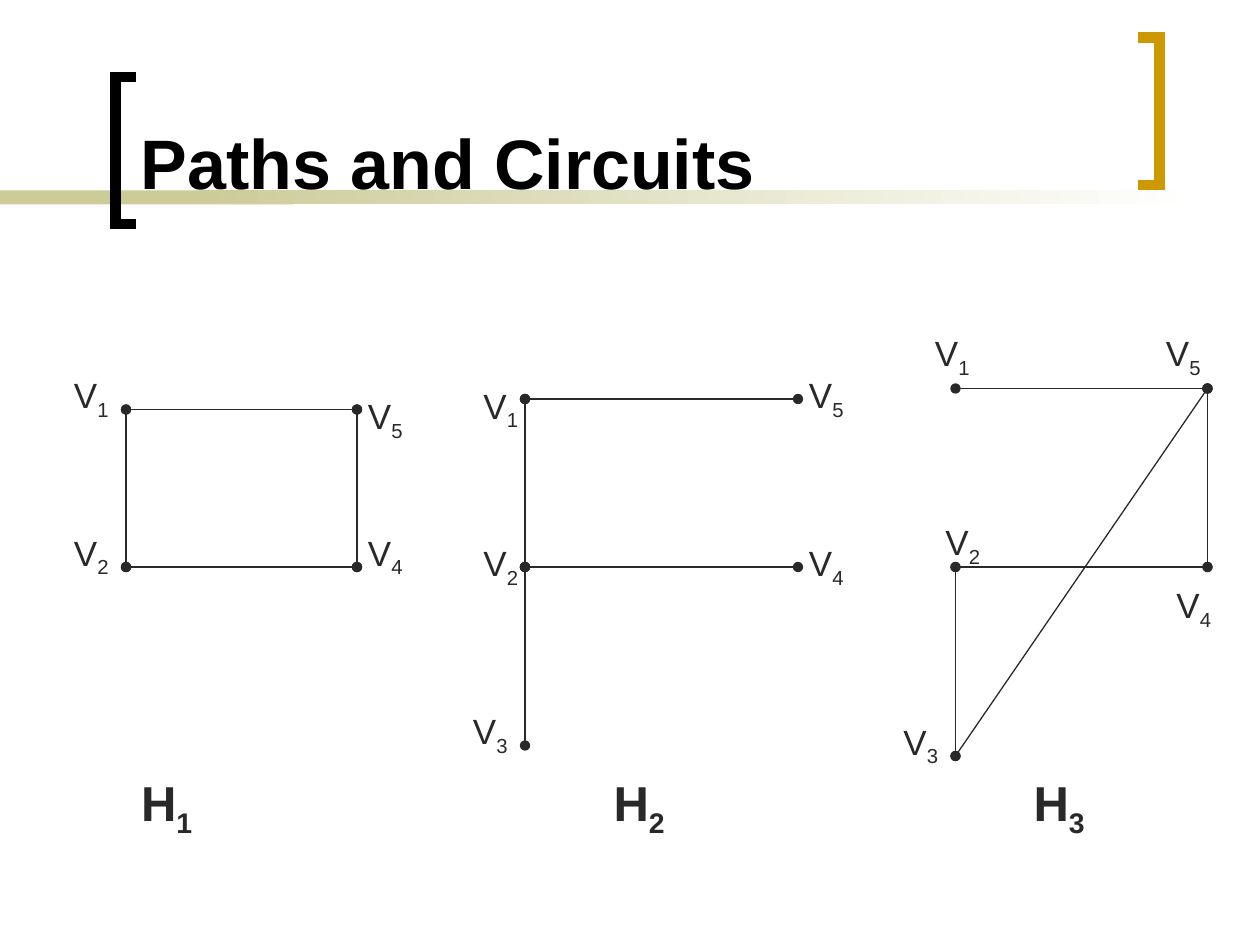
"""Build the Paths and Circuits slide with the graphs H1, H2 and H3."""
from lxml import etree
from pptx import Presentation
from pptx import util as u
from pptx.dml import color
from pptx.enum import shapes, text
from pptx.oxml import ns

BLACK = color.RGBColor(0x00, 0x00, 0x00)
WHITE = color.RGBColor(0xFF, 0xFF, 0xFF)
INK = color.RGBColor(0x29, 0x29, 0x29)
SAND = color.RGBColor(0xCC, 0xCC, 0x99)
GOLD = color.RGBColor(0xCC, 0x99, 0x00)

TITLE = {"name": "Arial", "size": u.Pt(40), "bold": True}
VERTEX = {"name": "Arial", "size": u.Pt(20), "bold": False}
GRAPH = {"name": "Arial", "size": u.Pt(28), "bold": True}

UNIT = 2.54 / 12


def grid(*values):
    return [u.Cm(v * UNIT) for v in values]


def add_text(box, parts, fmt, rgb):
    tf = s.shapes.add_textbox(*box).text_frame
    tf.word_wrap = True
    p = tf.paragraphs[0]
    for part in parts:
        r = p.add_run()
        r.text = part
        r.font.color.rgb = rgb
        for key, value in fmt.items():
            setattr(r.font, key, value)
    return tf


prs = Presentation()
prs.slide_width, prs.slide_height = u.Cm(25.4), u.Cm(19.05)
s = prs.slides.add_slide(prs.slide_layouts[6])

for left, width in ((0, 5.92), (4.01, 20.12)):
    sp = s.shapes.add_shape(shapes.MSO_SHAPE.RECTANGLE, u.Cm(left), u.Cm(3.84), u.Cm(width), u.Cm(0.28))
    sp.shadow.inherit = False
    sp.line.fill.background()
    if left == 0:
        sp.fill.solid()
        sp.fill.fore_color.rgb = SAND
    else:
        sp.fill.gradient()
        sp.fill.gradient_angle = 0
        for stop, rgb in zip(sp.fill.gradient_stops, (SAND, WHITE)):
            stop.color.rgb = rgb

for tip, spine, top, rgb in ((2.75, 2.33, 1.55, BLACK), (22.95, 23.37, 0.76, GOLD)):
    bottom = top + 2.97
    fb = s.shapes.build_freeform(u.Cm(tip), u.Cm(top))
    fb.add_line_segments([(u.Cm(x), u.Cm(y)) for x, y in ((spine, top), (spine, bottom), (tip, bottom))], close=False)
    sp = fb.convert_to_shape()
    sp.shadow.inherit = False
    sp.fill.background()
    sp.line.color.rgb = rgb
    sp.line.width = u.Pt(6)
    etree.SubElement(sp.line._get_or_add_ln(), ns.qn("a:miter"), lim="800000")

tf = add_text((u.Cm(2.59), u.Cm(0.28), u.Cm(19.89), u.Cm(3.94)), ["Paths and Circuits"], TITLE, BLACK)
tf.vertical_anchor = text.MSO_ANCHOR.BOTTOM

graphs = [
    {
        "name": "1", "name_left": 6.4,
        "points": {"1": (12, 39), "2": (12, 54), "4": (34, 54), "5": (34, 39)},
        "edges": ("15", "12", "24", "45"),
        "labels": {"1": (0, 35), "2": (0, 50), "5": (28, 37), "4": (28, 50)},
    },
    {
        "name": "2", "name_left": 51.4,
        "points": {"1": (50, 38), "2": (50, 54), "3": (50, 71), "4": (76, 54), "5": (76, 38)},
        "edges": ("15", "12", "24", "23"),
        "labels": {"1": (39, 36), "2": (39, 51), "3": (38, 67), "5": (70, 35), "4": (70, 51)},
    },
    {
        "name": "3", "name_left": 91.4,
        "points": {"1": (91, 37), "2": (91, 54), "3": (91, 72), "4": (115, 54), "5": (115, 37)},
        "edges": ("15", "54", "42", "53", "23"),
        "labels": {"1": (82, 31), "2": (83, 49), "3": (79, 68), "4": (105, 55), "5": (104, 31)},
    },
]

for graph in graphs:
    for start, end in graph["edges"]:
        ends = grid(*graph["points"][start], *graph["points"][end])
        sp = s.shapes.add_connector(shapes.MSO_CONNECTOR.STRAIGHT, *ends)
        sp.line.color.rgb = INK
        sp.line.width = u.Pt(0.75)
        for tag in ("a:headEnd", "a:tailEnd"):
            etree.SubElement(sp.line._get_or_add_ln(), ns.qn(tag), type="oval")
        etree.SubElement(sp._element.spPr, ns.qn("a:effectLst"))

    labels = [("V", n, (*at, 12, 5.8), VERTEX) for n, at in graph["labels"].items()]
    labels.append(("H", graph["name"], (graph["name_left"], 73, 24.7, 7.5), GRAPH))
    for letter, number, box, fmt in labels:
        tf = add_text(grid(*box), (letter, number), fmt, INK)
        p = tf.paragraphs[0]
        pPr = p._p.get_or_add_pPr()
        pPr.set("marL", str(u.Cm(2.46)))
        pPr.set("indent", str(u.Cm(-1.22)))
        p.runs[1].font._element.set("baseline", "-25000")

prs.save("out.pptx")
